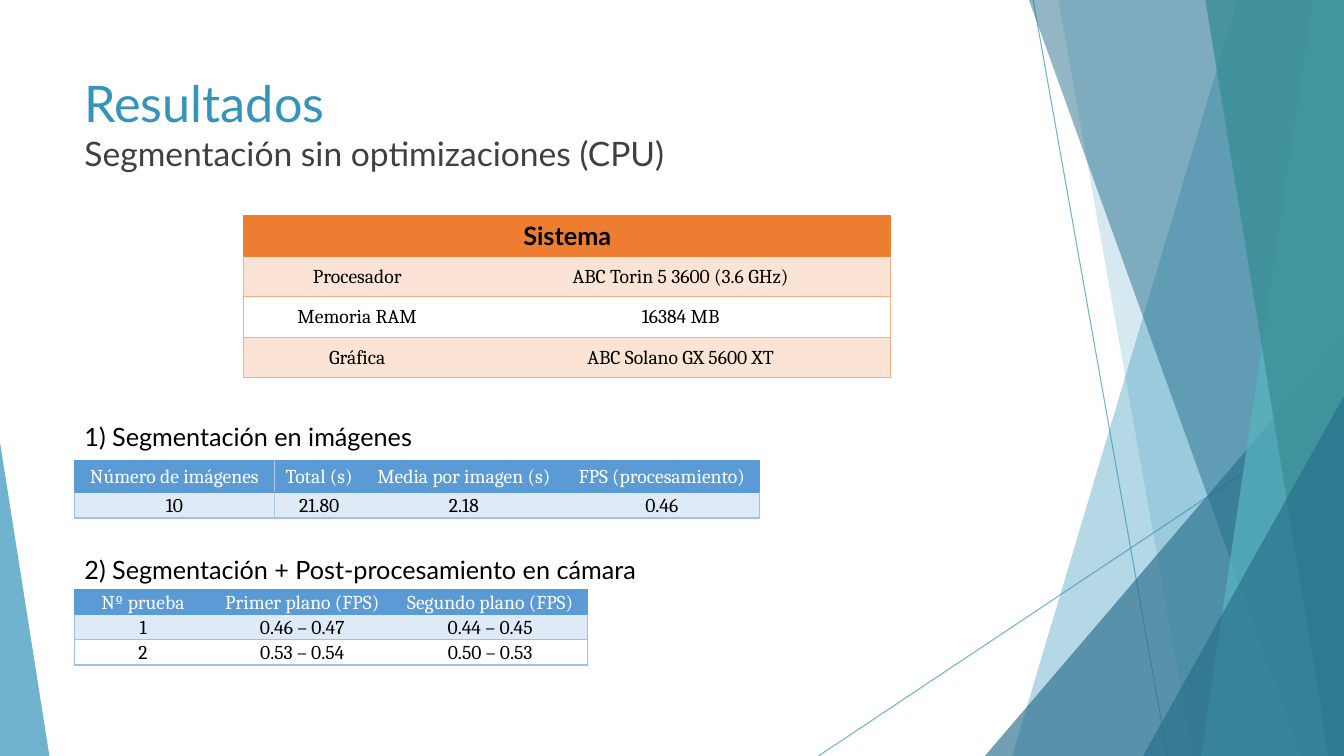
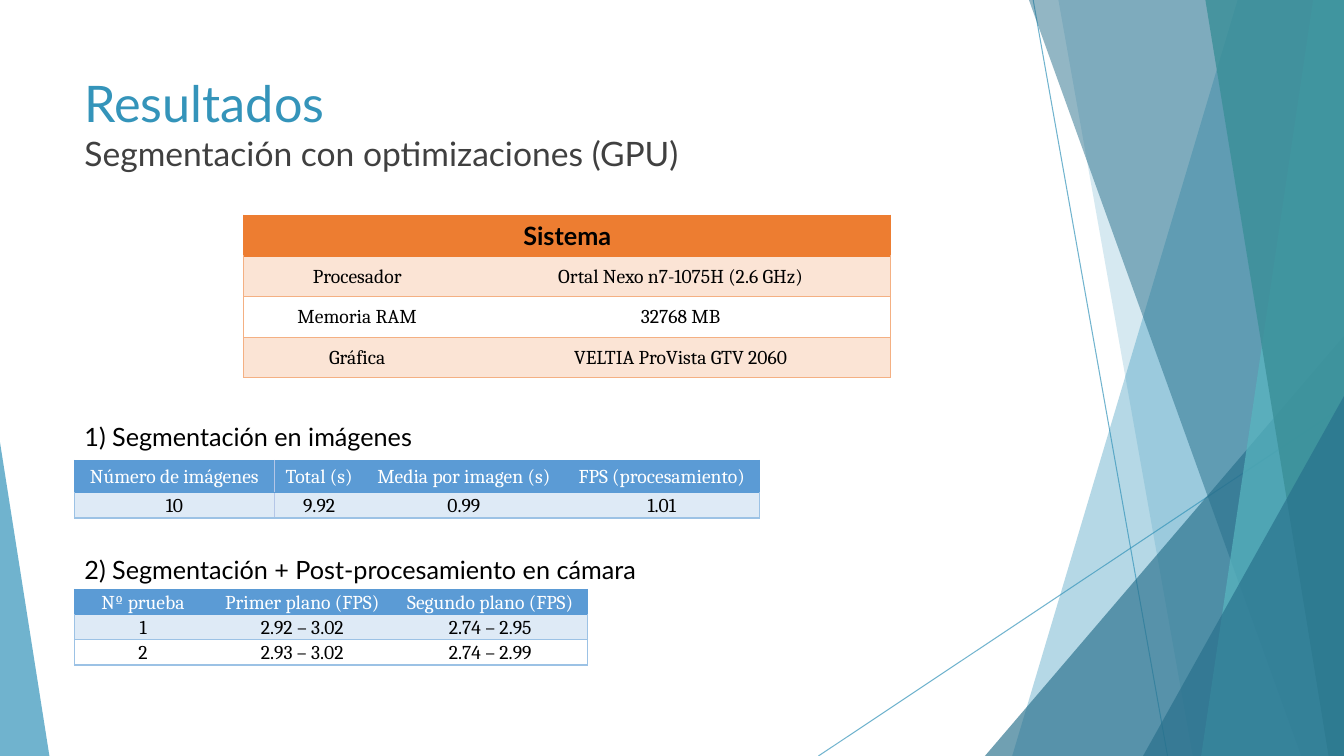
"""Build two result slides comparing segmentation on CPU and on GPU."""
from dataclasses import dataclass
from typing import NamedTuple, Optional

from lxml import etree
from pptx import Presentation
from pptx import util as u
from pptx.dml import color as dml
from pptx.enum import shapes, text
from pptx.oxml import ns

WIDTH, HEIGHT = 960, 540
LEFT = 53.2
BLUE, DARK_BLUE, TEAL, DARK_TEAL = "3494BA", "276F8B", "58B6C0", "3A8F98"
BLACK, WHITE, GRAY = "000000", "FFFFFF", "404040"
HEADING_FONT, TABLE_FONT = "Lato", "Cambria"


class Ray(NamedTuple):
    """Thin line across the decoration."""
    x1: float
    y1: float
    x2: float
    y2: float


class Panel(NamedTuple):
    """Full-height panel running to the right edge, with a slanted left side."""
    top_x: float
    bottom_x: float
    color: str
    opacity: int


class Wedge(NamedTuple):
    """Right triangle standing on the bottom edge."""
    left: float
    top: float
    width: float
    apex: float
    color: str
    opacity: int


class Palette(NamedTuple):
    """Colours of a table."""
    header: str
    header_text: str
    band: str
    border: str


@dataclass
class Grid:
    """Table place, sizes, colours and optional line after the first column."""
    left: float
    top: float
    widths: list[float]
    heights: list[float]
    palette: Palette
    header: list[str]
    divider: Optional[str] = None


@dataclass
class Results:
    """Measured values of one slide."""
    subtitle: str
    system: list[str]
    images: list[str]
    camera: list[list[str]]


ORANGE_TABLE = Palette("ED7D31", BLACK, "FBE4D5", "F4B083")
BLUE_TABLE = Palette("5B9BD5", WHITE, "DEEAF6", "9CC2E5")

SYSTEM = Grid(174.2, 153.8, [162, 300], [29] * 4, ORANGE_TABLE, ["", ""])
IMAGES = Grid(LEFT, 329, [142.8, 64, 142.8, 140], [23, 18], BLUE_TABLE,
              ["Número de imágenes", "Total (s)", "Media por imagen (s)", "FPS (procesamiento)"],
              divider="B4C6E7")
CAMERA = Grid(LEFT, 421, [98, 129.5, 139], [18] * 3, BLUE_TABLE,
              ["Nº prueba", "Primer plano (FPS)", "Segundo plano (FPS)"])
SYSTEM_LABELS = ["Procesador", "Memoria RAM", "Gráfica"]

RAYS = [Ray(738, 0, 834, HEIGHT), Ray(WIDTH, 290, 584.6, HEIGHT)]
DECORATION = [
    Panel(884, 723, BLUE, 36),
    Panel(756, 852, BLUE, 20),
    Wedge(703.5, 240, 256.5, 1, DARK_BLUE, 66),
    Panel(735, 929.5, DARK_BLUE, 50),
    Panel(938, 858, TEAL, 70),
    Panel(861, 949, DARK_TEAL, 80),
    Wedge(816.5, 283, 143.5, 1, DARK_BLUE, 66),
    Wedge(0, 316, 35.3, 0, BLUE, 70),
]

RESULTS = [
    Results("Segmentación sin optimizaciones (CPU)",
            ["ABC Torin 5 3600 (3.6 GHz)", "16384 MB", "ABC Solano GX 5600 XT"],
            ["10", "21.80", "2.18", "0.46"],
            [["1", "0.46 – 0.47", "0.44 – 0.45"], ["2", "0.53 – 0.54", "0.50 – 0.53"]]),
    Results("Segmentación con optimizaciones (GPU)",
            ["Ortal Nexo n7-1075H (2.6 GHz)", "32768 MB", "VELTIA ProVista GTV 2060"],
            ["10", "9.92", "0.99", "1.01"],
            [["1", "2.92 – 3.02", "2.74 – 2.95"], ["2", "2.93 – 3.02", "2.74 – 2.99"]]),
]


def rgb(value: str) -> dml.RGBColor:
    """Turn a hex string into a colour."""
    return dml.RGBColor.from_string(value)


def set_opacity(element, percent: int) -> None:
    """Make every colour of an element partly transparent."""
    for color in element.iter(ns.qn("a:srgbClr")):
        etree.SubElement(color, ns.qn("a:alpha")).set("val", str(percent * 1000))


def write(paragraph, content: str, *, size: float = 18, font: str = HEADING_FONT,
          color: str = BLACK, bold: bool = False, align=text.PP_ALIGN.LEFT) -> None:
    """Add one formatted run to a paragraph."""
    paragraph.alignment = align
    run = paragraph.add_run()
    run.text = content
    run.font.size = u.Pt(size)
    run.font.name = font
    run.font.bold = bold
    run.font.color.rgb = rgb(color)


def add_box(slide, left: float, top: float, width: float, height: float):
    """Add a wrapping text box and return its first paragraph."""
    box = slide.shapes.add_textbox(u.Pt(left), u.Pt(top), u.Pt(width), u.Pt(height))
    box.text_frame.word_wrap = True
    return box.text_frame.paragraphs[0]


def draw_ray(slide, ray: Ray) -> None:
    """Draw a thin translucent line."""
    line = slide.shapes.add_connector(shapes.MSO_CONNECTOR.STRAIGHT, *map(u.Pt, ray))
    line.line.color.rgb = rgb(BLUE)
    line.line.width = u.Pt(0.75)
    set_opacity(line.line._get_or_add_ln(), 70)
    etree.SubElement(line._element.spPr, ns.qn("a:effectLst"))


def draw_facet(slide, facet: Panel | Wedge) -> None:
    """Draw one translucent panel or wedge."""
    if isinstance(facet, Panel):
        builder = slide.shapes.build_freeform(u.Pt(facet.top_x), 0)
        corners = [(WIDTH, 0), (WIDTH, HEIGHT), (facet.bottom_x, HEIGHT)]
        builder.add_line_segments([(u.Pt(x), u.Pt(y)) for x, y in corners], close=True)
        shape = builder.convert_to_shape()
    else:
        shape = slide.shapes.add_shape(
            shapes.MSO_SHAPE.ISOSCELES_TRIANGLE, u.Pt(facet.left), u.Pt(facet.top),
            u.Pt(facet.width), u.Pt(HEIGHT - facet.top))
        shape.adjustments[0] = facet.apex
    shape.shadow.inherit = False
    shape.fill.solid()
    shape.fill.fore_color.rgb = rgb(facet.color)
    shape.line.fill.background()
    set_opacity(shape._element.spPr, facet.opacity)


def set_borders(cell, colors: list[Optional[str]]) -> None:
    """Set the left, right, top and bottom lines of a cell, None for no line."""
    properties = cell._tc.get_or_add_tcPr()
    for index, (side, color) in enumerate(zip("LRTB", colors)):
        line = etree.Element(ns.qn(f"a:ln{side}"))
        line.set("w", str(u.Pt(1)))
        if color:
            fill = etree.SubElement(line, ns.qn("a:solidFill"))
            etree.SubElement(fill, ns.qn("a:srgbClr")).set("val", color)
        else:
            etree.SubElement(line, ns.qn("a:noFill"))
        properties.insert(index, line)


def style_cell(cell, fill: Optional[str]) -> None:
    """Set the fill, margins and anchor of a cell."""
    cell.margin_left = cell.margin_right = u.Pt(5.4)
    cell.margin_top = cell.margin_bottom = 0
    cell.vertical_anchor = text.MSO_ANCHOR.MIDDLE
    if fill:
        cell.fill.solid()
        cell.fill.fore_color.rgb = rgb(fill)
    else:
        cell.fill.background()


def draw_table(slide, grid: Grid, body: list[list[str]]) -> None:
    """Draw a header row and banded body rows."""
    rows = [grid.header, *body]
    table = slide.shapes.add_table(
        len(rows), len(grid.widths), u.Pt(grid.left), u.Pt(grid.top),
        u.Pt(sum(grid.widths)), u.Pt(sum(grid.heights))).table
    table.first_row = table.horz_banding = False
    for column, width in zip(table.columns, grid.widths):
        column.width = u.Pt(width)
    palette, last = grid.palette, len(grid.widths) - 1
    for r, values in enumerate(rows):
        table.rows[r].height = u.Pt(grid.heights[r])
        edge = palette.border if r else palette.header
        above = palette.border if r > 1 else palette.header
        fill = palette.header if r == 0 else palette.band if r % 2 else None
        for c, value in enumerate(values):
            cell = table.cell(r, c)
            style_cell(cell, fill)
            set_borders(cell, [
                edge if c == 0 else grid.divider if c == 1 else None,
                edge if c == last else grid.divider if c == 0 else None,
                above, edge])
            if value:
                paragraph = cell.text_frame.paragraphs[0]
                paragraph.line_spacing = 1.07
                paragraph.space_after = u.Pt(8)
                write(paragraph, value, size=14, font=TABLE_FONT,
                      color=BLACK if r else palette.header_text, align=text.PP_ALIGN.CENTER)


def draw_slide(presentation, results: Results) -> None:
    """Draw the decoration, title, tables and headings of one slide."""
    slide = presentation.slides.add_slide(presentation.slide_layouts[6])
    for ray in RAYS:
        draw_ray(slide, ray)
    for facet in DECORATION:
        draw_facet(slide, facet)

    title = add_box(slide, LEFT, 48, 677, 104)
    write(title, "Resultados", size=36, color=BLUE)
    title.add_line_break()
    write(title, results.subtitle, size=24, color=GRAY)

    draw_table(slide, SYSTEM, [list(pair) for pair in zip(SYSTEM_LABELS, results.system)])
    write(add_box(slide, SYSTEM.left, SYSTEM.top, sum(SYSTEM.widths), 29), "Sistema",
          bold=True, align=text.PP_ALIGN.CENTER)
    write(add_box(slide, LEFT, 297.5, 436, 29), "1) Segmentación en imágenes")
    draw_table(slide, IMAGES, [results.images])
    draw_table(slide, CAMERA, results.camera)
    write(add_box(slide, LEFT, 392.5, 436, 29), "2) Segmentación + Post-procesamiento en cámara")


def main() -> None:
    """Build and save the presentation."""
    presentation = Presentation()
    presentation.slide_width, presentation.slide_height = u.Pt(WIDTH), u.Pt(HEIGHT)
    for results in RESULTS:
        draw_slide(presentation, results)
    presentation.save("out.pptx")


if __name__ == "__main__":
    main()
